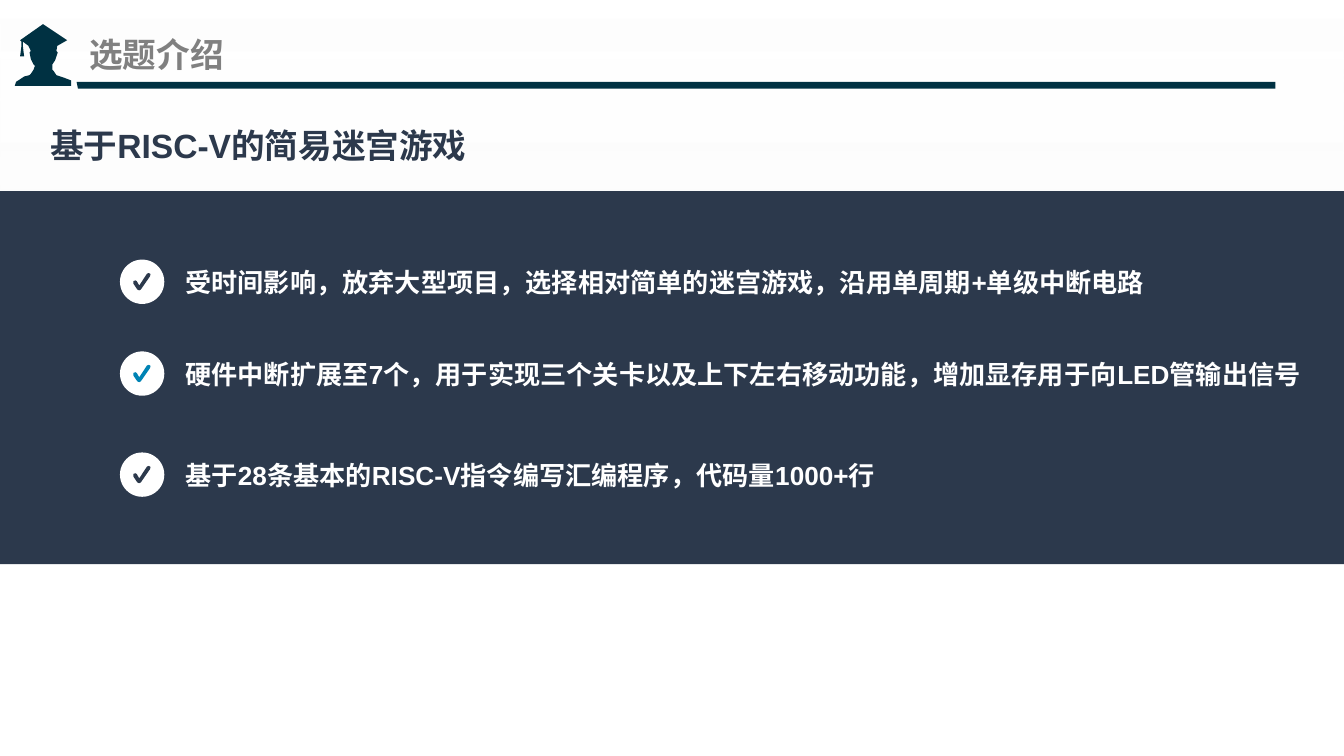
from lxml import etree
from pptx import Presentation
from pptx import util as u
from pptx.dml.color import RGBColor
from pptx.enum import shapes, text
from pptx.oxml.ns import qn

COLORS = {"white": "FFFFFF", "mist": "F2F2F2", "teal": "003142",
          "navy": "2C394C", "blue": "0083B4", "gray": "808080"}
CELL = 0.1  # inches; the slide is 100 columns by 56.25 rows
COLS, ROWS = 100, 56.25
CJK = "Noto Sans CJK SC"

# Outlines, in cells
GRADUATE = [
    (5.3, 6), (4.8, 5.8), (4.2, 5.6), (4, 5.3), (3.9, 5.2), (3.9, 4.8),
    (4.1, 4.5), (4.3, 3.9), (4.2, 3.8), (4.3, 3.2), (4.3, 3.4), (5, 3),
    (3.2, 1.8), (1.5, 3), (1.6, 3.1), (1.6, 3.4), (1.5, 4.2), (1.8, 4.2),
    (1.7, 3.4), (1.7, 3.1), (2.1, 3.4), (2.3, 3.8), (2.2, 3.9), (2.3, 4.4),
    (2.5, 4.8), (2.6, 4.9), (2.5, 5.2), (2.3, 5.5), (2.2, 5.6), (1.8, 5.7),
    (1.2, 6.1), (1.1, 6.4), (5.3, 6.4)]
RULE = [(5.7, 6.1), (94.9, 6.1), (94.9, 6.6), (5.8, 6.6)]
TICK = [(-0.22, 0.64), (-0.36, 0.58), (-0.65, 0.15), (-0.65, -0.05), (-0.5, -0.1),
        (-0.4, -0.04), (-0.22, 0.28), (0.36, -0.6), (0.5, -0.65), (0.62, -0.57),
        (0.58, -0.4), (-0.1, 0.58)]

# Centre row, text width, tick colour and wording of each point
POINTS = [
    (20.97, 78.8, "navy", "受时间影响，放弃大型项目，选择相对简单的迷宫游戏，沿用单周期+单级中断电路"),
    (27.8, 87.8, "blue", "硬件中断扩展至7个，用于实现三个关卡以及上下左右移动功能，增加显存用于向LED管输出信号"),
    (35.32, 78.8, "navy", "基于28条基本的RISC-V指令编写汇编程序，代码量1000+行")]


def cells(count):
    return u.Inches(count * CELL)


def write(frame, words, size=14, font="Arial", color="white", spacing=None):
    paragraph = frame.paragraphs[0]
    paragraph.line_spacing = spacing
    run = paragraph.add_run()
    run.text = words
    run.font.size, run.font.name, run.font.bold = u.Pt(size), font, True
    run.font.color.rgb = RGBColor.from_string(COLORS[color])
    etree.SubElement(run.font._element, qn("a:ea"), typeface=CJK)


class Deck:
    def __init__(self):
        self.prs = Presentation()
        self.prs.slide_width, self.prs.slide_height = cells(COLS), cells(ROWS)
        self.slide = self.prs.slides.add_slide(self.prs.slide_layouts[6])

    def paint(self, shape, color):
        shape.shadow.inherit = False
        shape.line.fill.background()
        shape.fill.solid()
        shape.fill.fore_color.rgb = RGBColor.from_string(COLORS[color])
        return shape

    def block(self, col, row, wide, high, color, kind="RECTANGLE"):
        preset = getattr(shapes.MSO_SHAPE, kind)
        return self.paint(self.slide.shapes.add_shape(
            preset, cells(col), cells(row), cells(wide), cells(high)), color)

    def fade(self, shape, stops, angle):
        shape.fill.gradient()
        shape.fill.gradient_angle = angle
        for stop, (position, color, opacity) in zip(shape.fill.gradient_stops, stops):
            stop.position = position
            stop.color.rgb = RGBColor.from_string(COLORS[color])
        for tint, stop in zip(shape._element.iter(qn("a:srgbClr")), stops):
            etree.SubElement(tint, qn("a:alpha"), val=str(stop[2] * 1000))

    def outline(self, points, color, col=0, row=0):
        dots = [(round((col + x) * 100), round((row + y) * 100)) for x, y in points]
        builder = self.slide.shapes.build_freeform(*dots[0], scale=cells(1) / 100)
        builder.add_line_segments(dots[1:], close=True)
        return self.paint(builder.convert_to_shape(), color)

    def label(self, col, row, wide, high, words, insets=(0.1, 0.05, 0.1, 0.05),
              anchor="MIDDLE", wrap=True, **style):
        frame = self.slide.shapes.add_textbox(
            cells(col), cells(row), cells(wide), cells(high)).text_frame
        (frame.margin_left, frame.margin_top,
         frame.margin_right, frame.margin_bottom) = map(u.Inches, insets)
        frame.vertical_anchor = getattr(text.MSO_ANCHOR, anchor)
        frame.word_wrap = wrap
        write(frame, words, **style)


def main():
    deck = Deck()

    # Backdrop and header
    backdrop = deck.block(0, 0, COLS, ROWS, "white")
    deck.fade(backdrop, [(0, "white", 55), (0.71, "mist", 0)], 270)
    deck.outline(RULE, "teal")
    deck.outline(GRADUATE, "teal")
    deck.label(6.65, 1.9, 23.3, 4.2, "选题介绍", insets=(0, 0.05, 0, 0.05),
               size=18, font=CJK, color="gray")

    # Topic and its band
    deck.block(0, 14.22, COLS, 27.75, "navy")
    deck.label(2.75, 8.2, 36.6, 4.2, "基于RISC-V的简易迷宫游戏", anchor="TOP",
               size=18, color="navy", spacing=1.2)

    # Ticked points
    centre, disc, high = 10.58, 3.3, 4.6
    for row, wide, tick, words in POINTS:
        deck.block(centre - disc / 2, row - disc / 2, disc, disc, "white", "OVAL")
        deck.outline(TICK, tick, centre, row)
        deck.label(12.2, row - high / 2, wide, high, words,
                   insets=(0.16, 0, 0, 0), wrap=False)

    deck.prs.save("out.pptx")


if __name__ == "__main__":
    main()
